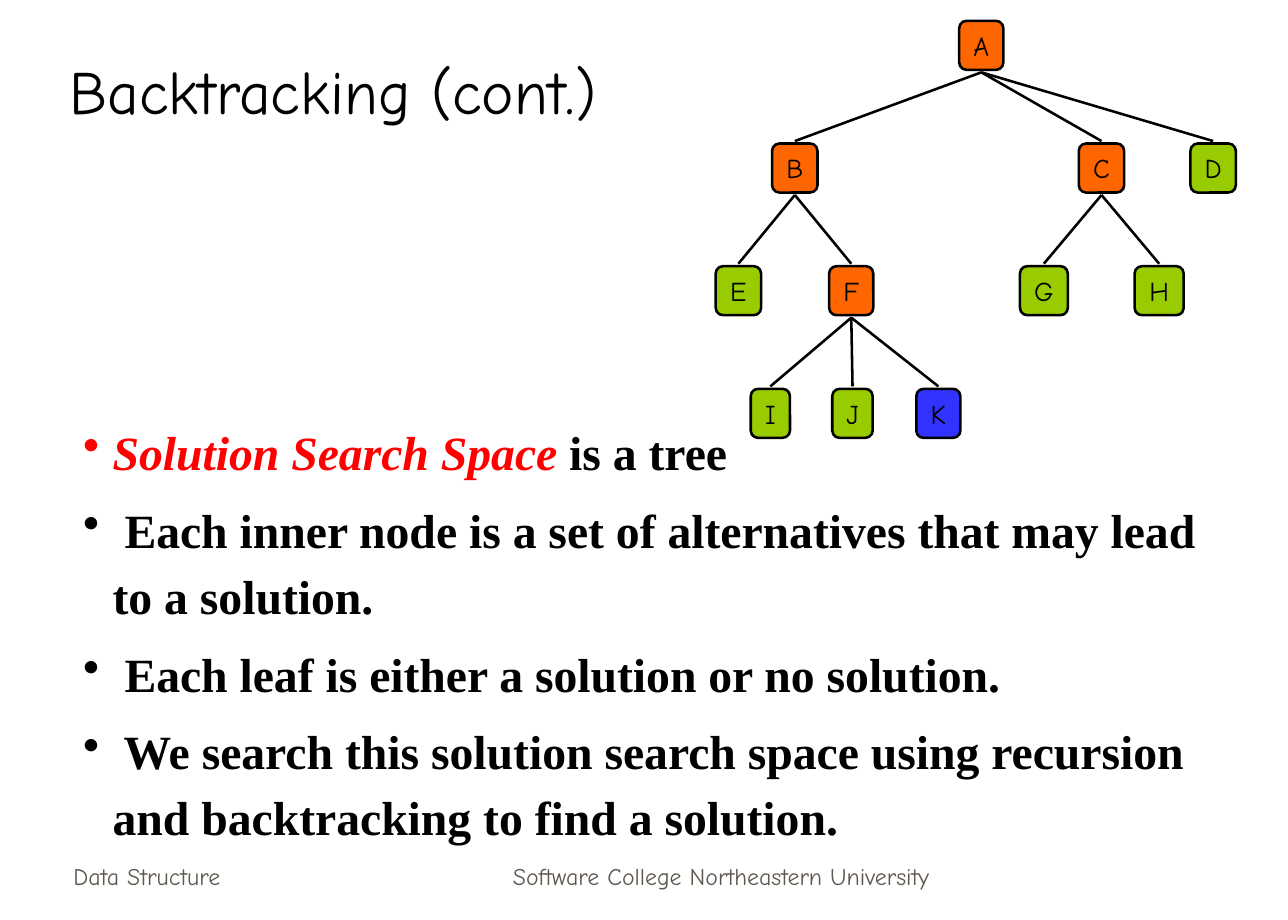
from lxml.etree import SubElement
from pptx import Presentation
from pptx.dml.color import RGBColor
from pptx.enum.shapes import MSO_CONNECTOR, MSO_SHAPE
from pptx.enum.text import MSO_ANCHOR, PP_ALIGN
from pptx.oxml.ns import qn
from pptx.util import Pt

PX = 9144  # 100 px to the inch
HAND, SERIF = "Comic Neue", "Times New Roman"
BLACK, RED, GREY = "000000", "FF0000", "5E574E"
INNER, LEAF, GOAL = "FF6600", "99CC00", "3333FF"

# text, (left, top, width, height), size, colour, alignment
LABELS = [
    ("Data Structure", (50, 681, 219, 50), 14, GREY, PP_ALIGN.LEFT),
    ("Software College Northeastern University", (359, 681, 458, 50), 14, GREY, PP_ALIGN.CENTER),
    ("Backtracking (cont.)", (47, 25, 893, 83), 36, BLACK, PP_ALIGN.LEFT),
]
BULLETS_AT = (58, 333, 936, 347)
BULLET_INDENT = 24
KEY_TERM = "Solution Search Space"
# bullet colour, runs
BULLETS = [
    (RED, [KEY_TERM, " is a tree"]),
    (BLACK, [" Each inner node is a set of alternatives that may lead to a solution."]),
    (BLACK, [" Each leaf is either a solution or no solution."]),
    (BLACK, [" We search this solution search space using recursion and backtracking to find a solution."]),
]

# name: (parent, level, centre x, width, fill)
TREE = {
    "A": (None, 0, 800, 36, INNER),
    "B": ("A", 1, 648, 37, INNER),
    "C": ("A", 1, 898, 37, INNER),
    "D": ("A", 1, 989, 37, LEAF),
    "E": ("B", 2, 602, 37, LEAF),
    "F": ("B", 2, 694, 36, INNER),
    "G": ("C", 2, 851, 39, LEAF),
    "H": ("C", 2, 945, 40, LEAF),
    "I": ("F", 3, 628, 32, LEAF),
    "J": ("F", 3, 695, 33, LEAF),
    "K": ("F", 3, 765, 36, GOAL),
}
TREE_TOP, LEVEL_STEP, NODE_HEIGHT, CORNER, EDGE_GAP = 17, 100, 40, 6, 2


def emu(*lengths):
    return [round(length * PX) for length in lengths]


def rgb(colour):
    return RGBColor.from_string(colour)


def style(font, name, size, colour):
    font.name, font.size, font.color.rgb = name, Pt(size), rgb(colour)


def add_label(slide, text, place, size, colour, alignment):
    frame = slide.shapes.add_textbox(*emu(*place)).text_frame
    frame.word_wrap = True
    frame.vertical_anchor = MSO_ANCHOR.BOTTOM
    frame.text = text
    para = frame.paragraphs[0]
    para.alignment = alignment
    style(para.runs[0].font, HAND, size, colour)


def set_bullet(para, colour):
    properties = para._p.get_or_add_pPr()
    indent = BULLET_INDENT * PX
    properties.set("marL", str(indent))
    properties.set("indent", str(-indent))
    bullet_colour = SubElement(properties, qn("a:buClr"))
    SubElement(bullet_colour, qn("a:srgbClr")).set("val", colour)
    SubElement(properties, qn("a:buChar")).set("char", "•")


def add_bullets(slide):
    frame = slide.shapes.add_textbox(*emu(*BULLETS_AT)).text_frame
    frame.word_wrap = True
    for index, (bullet_colour, texts) in enumerate(BULLETS):
        para = frame.add_paragraph() if index else frame.paragraphs[0]
        set_bullet(para, bullet_colour)
        para.line_spacing = 1.15
        para.space_before = Pt(7 if index else 0)
        for text in texts:
            span = para.add_run()
            span.text = text
            is_key = text == KEY_TERM
            style(span.font, SERIF, 28, RED if is_key else BLACK)
            span.font.bold, span.font.italic = True, is_key


def level_top(level):
    return TREE_TOP + level * LEVEL_STEP


def add_edge(slide, parent, child):
    """Join the foot of the parent node to the head of the child node."""
    start_y = level_top(parent[1]) + NODE_HEIGHT + EDGE_GAP
    end_y = level_top(child[1]) - EDGE_GAP
    edge = slide.shapes.add_connector(
        MSO_CONNECTOR.STRAIGHT, *emu(parent[2], start_y, child[2], end_y))
    edge.line.color.rgb, edge.line.width = rgb(BLACK), Pt(1.5)
    SubElement(edge._element.spPr, qn("a:effectLst"))


def add_node(slide, name, level, centre, width, fill):
    node = slide.shapes.add_shape(
        MSO_SHAPE.ROUNDED_RECTANGLE,
        *emu(centre - width / 2, level_top(level), width, NODE_HEIGHT))
    node.adjustments[0] = CORNER / width
    node.shadow.inherit = False
    node.fill.solid()
    node.fill.fore_color.rgb = rgb(fill)
    node.line.color.rgb, node.line.width = rgb(BLACK), Pt(1.5)
    frame = node.text_frame
    frame.word_wrap = False
    frame.vertical_anchor = MSO_ANCHOR.MIDDLE
    frame.text = name
    para = frame.paragraphs[0]
    para.alignment = PP_ALIGN.CENTER
    style(para.runs[0].font, HAND, 16, BLACK)


def main():
    deck = Presentation()
    deck.slide_width, deck.slide_height = emu(1050, 750)
    slide = deck.slides.add_slide(deck.slide_layouts[6])
    for label in LABELS:
        add_label(slide, *label)
    add_bullets(slide)
    for name, node in TREE.items():
        parent, *geometry = node
        if parent:
            add_edge(slide, TREE[parent], node)
        add_node(slide, name, *geometry)
    deck.save("out.pptx")


if __name__ == "__main__":
    main()
